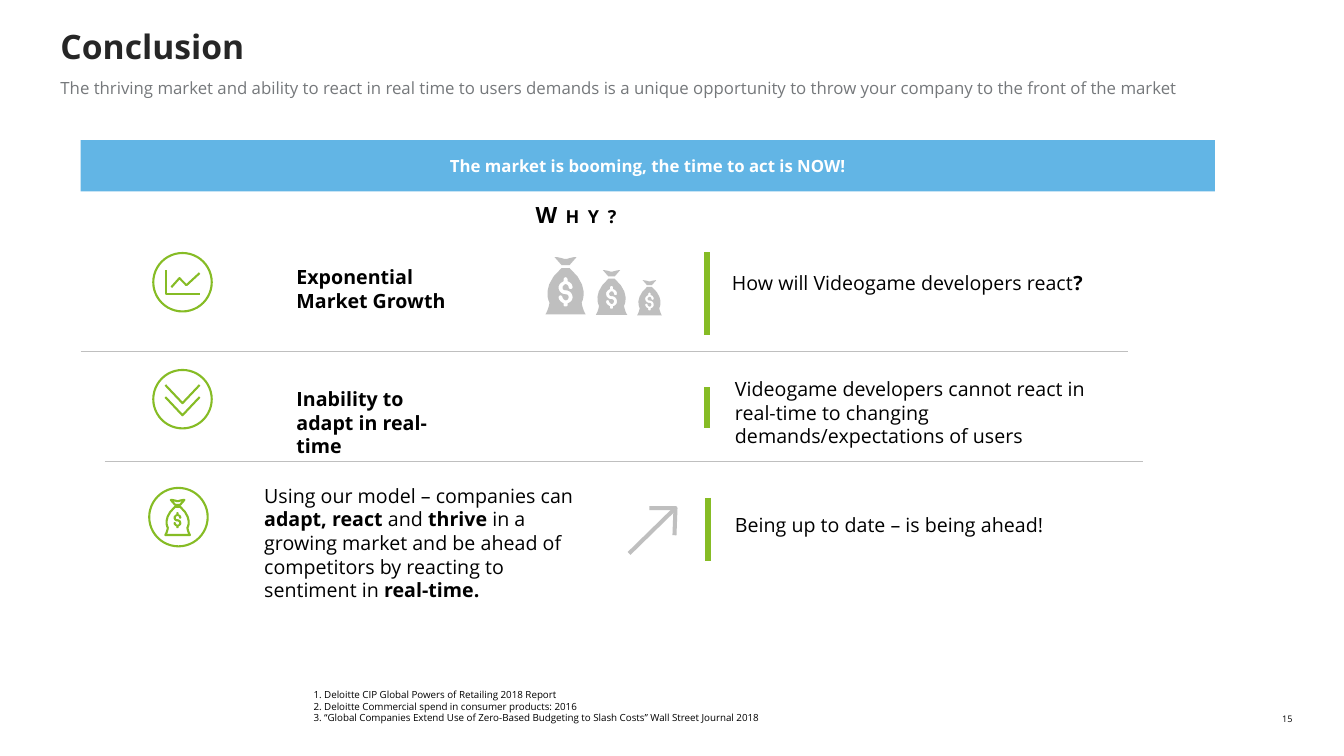
from pptx import Presentation
from pptx.dml.color import RGBColor
from pptx.enum.shapes import MSO_CONNECTOR, MSO_SHAPE
from pptx.enum.text import MSO_ANCHOR, MSO_AUTO_SIZE, PP_ALIGN
from pptx.oxml.ns import qn
from pptx.util import Pt
from lxml import etree

PX = 9144
FONT = "Open Sans"
BLACK = RGBColor(0, 0, 0)
WHITE = RGBColor(255, 255, 255)
DARK = RGBColor(0x26, 0x26, 0x26)
SLATE = RGBColor(0x75, 0x78, 0x7B)
BLUE = RGBColor(0x62, 0xB5, 0xE5)
GREEN = RGBColor(0x86, 0xBC, 0x25)
GREY = RGBColor(0xBF, 0xBF, 0xBF)
LEFT, CENTER, RIGHT = PP_ALIGN.LEFT, PP_ALIGN.CENTER, PP_ALIGN.RIGHT
TOP, MIDDLE = MSO_ANCHOR.TOP, MSO_ANCHOR.MIDDLE
NONE = MSO_AUTO_SIZE.NONE
RECT, OVAL = MSO_SHAPE.RECTANGLE, MSO_SHAPE.OVAL
STRAIGHT = MSO_CONNECTOR.STRAIGHT

KNOT = [(24, 8), (31, 0), (30, 0, 27, 0, 21, 2), (19, 2),
        (13, 0, 10, 0, 9, 0), (16, 8)]
SACK = [(36, 45), (37, 44, 44, 28, 24, 11), (16, 11), (-4, 28, 3, 44, 4, 45),
        (4, 48, 2, 54, 0, 57), (40, 57), (38, 54, 36, 48, 36, 45)]
DOLLAR = [(20, 33), (24, 33, 27, 36, 27, 40), (27, 43, 25, 45, 22, 46),
          (22, 48), (22, 49, 21, 49, 20, 49), (19, 49, 18, 49, 18, 48),
          (18, 46), (16, 45, 13, 43, 13, 40), (13, 39, 14, 38, 15, 38),
          (16, 38, 17, 39, 17, 40), (17, 41, 19, 43, 20, 43),
          (22, 43, 23, 41, 23, 40), (23, 38, 22, 37, 20, 37),
          (16, 37, 13, 34, 13, 30), (13, 27, 16, 25, 18, 24), (18, 22),
          (18, 21, 19, 20, 20, 20), (21, 20, 22, 21, 22, 22), (22, 24),
          (25, 25, 27, 27, 27, 30), (27, 31, 26, 32, 25, 32),
          (24, 32, 23, 31, 23, 30), (23, 29, 22, 27, 20, 27),
          (19, 27, 17, 29, 17, 30), (17, 32, 18, 33, 20, 33)]


def emu(*nums):
    return [round(n * PX) for n in nums]


def write(frame, paras, size, color=BLACK, align=LEFT, anchor=TOP):
    frame.word_wrap = True
    frame.auto_size = NONE
    frame.vertical_anchor = anchor
    frame.margin_left = frame.margin_right = 0
    frame.margin_top = frame.margin_bottom = 0
    for i, runs in enumerate(paras):
        para = frame.add_paragraph() if i else frame.paragraphs[0]
        para.alignment = align
        for words, bold in runs:
            run = para.add_run()
            run.text = words
            font = run.font
            font.name, font.size, font.bold = FONT, Pt(size), bold
            font.color.rgb = color


def label(slide, box, paras, size, color=BLACK, align=LEFT):
    shape = slide.shapes.add_textbox(*emu(*box))
    write(shape.text_frame, paras, size, color, align)
    return shape


def rule(slide, start, end, color, width):
    line = slide.shapes.add_connector(STRAIGHT, *emu(*start, *end))
    line.line.color.rgb = color
    line.line.width = Pt(width)
    etree.SubElement(line._element.spPr, qn("a:effectLst"))


def trace(steps):
    points = [steps[0]]
    for step in steps[1:]:
        if len(step) == 2:
            points.append(step)
            continue
        start = points[-1]
        for i in range(1, 7):
            t = i / 6
            u = 1 - t
            points.append(tuple(
                u**3 * start[k] + 3 * u * u * t * step[k]
                + 3 * u * t * t * step[k + 2] + t**3 * step[k + 4]
                for k in (0, 1)))
    return points


def draw(slide, at, loops, color, scale=1, width=0, close=False):
    paths = [[emu(at[0] + x * scale, at[1] + y * scale)
              for x, y in trace(loop)] for loop in loops]
    pen = slide.shapes.build_freeform(*paths[0][0])
    for i, points in enumerate(paths):
        if i:
            pen.move_to(*points[0])
        pen.add_line_segments(points[1:], close=close)
    shape = pen.convert_to_shape()
    shape.shadow.inherit = False
    if width:
        shape.fill.background()
        shape.line.color.rgb = color
        shape.line.width = Pt(width)
    else:
        shape.fill.solid()
        shape.fill.fore_color.rgb = color
        shape.line.fill.background()


def ring(slide, x, y):
    shape = slide.shapes.add_shape(OVAL, *emu(x + 1, y + 1, 58, 58))
    shape.shadow.inherit = False
    shape.fill.background()
    shape.line.color.rgb = GREEN
    shape.line.width = Pt(1.5)


def graph(slide, x, y):
    axes = [(14, 18), (14, 42), (47, 42)]
    trend = [(19, 35), (27, 26), (34, 33), (47, 21)]
    draw(slide, (x, y), [axes, trend], GREEN, width=1.5)


def drop(slide, x, y):
    marks = [[(13, top), (30, top + 18), (47, top)] for top in (16, 28)]
    draw(slide, (x, y), marks, GREEN, width=1.5)


def purse(slide, x, y):
    draw(slide, (x + 17, y + 13), [KNOT, SACK], GREEN, 0.61, 1.5, True)
    draw(slide, (x + 18, y + 14), [DOLLAR], GREEN, 0.55, close=True)


def bags(slide, x, y):
    for dx, dy, scale in ((0, 0, 1), (50, 13, 0.78), (91, 23, 0.61)):
        draw(slide, (x + dx, y + dy), [KNOT, SACK, DOLLAR], GREY, scale,
             close=True)


def arrow(slide, x, y):
    draw(slide, (x, y), [[(0, 45), (46, 0)], [(20, 0), (46, 0), (45, 27)]],
         GREY, width=2.9)


def row(slide, at, icon, claim, reply, bar):
    x, y = at
    ring(slide, x, y)
    icon(slide, x, y)
    for (dx, dy, w, h), runs in (claim, reply):
        label(slide, (x + dx, y + dy, w, h), [runs], 14)
    dx, top, low = bar
    rule(slide, (x + dx, y + top), (x + dx, y + low), GREEN, 4.5)


def header(slide, box):
    x, y, w, h = box
    title = slide.shapes.title
    title.left, title.top, title.width, title.height = emu(x, y, w, 40)
    write(title.text_frame, [[("Conclusion", True)]], 24, DARK)
    label(slide, (x, y + 51, w, h - 51), [[(
        "The thriving market and ability to react in real time to users "
        "demands is a unique opportunity to throw your company to the front "
        "of the market", False)]], 12, SLATE)


def banner(slide, box):
    x, y, w, h = box
    shape = slide.shapes.add_shape(RECT, *emu(*box))
    shape.shadow.inherit = False
    shape.fill.solid()
    shape.fill.fore_color.rgb = BLUE
    shape.line.fill.background()
    write(shape.text_frame,
          [[("The market is booming, the time to act is NOW!", True)]],
          12, WHITE, CENTER, MIDDLE)
    why = label(slide, (x + 223, y + h + 10, 570, 27), [[("Why?", True)]],
                16, align=CENTER)
    props = why.text_frame.paragraphs[0].runs[0].font._element
    props.set("cap", "small")
    props.set("spc", "600")


def footer(slide, box):
    x, y, w, h = box
    notes = ("1. Deloitte CIP Global Powers of Retailing 2018 Report",
             "2. Deloitte Commercial spend in consumer products: 2016",
             "3. “Global Companies Extend Use of Zero-Based Budgeting to "
             "Slash Costs” Wall Street Journal 2018")
    label(slide, (x, y, 524, h), [[(note, False)] for note in notes], 7)
    label(slide, (x + w - 34, y + 25, 34, 11), [[("15", False)]], 6.5,
          align=RIGHT)


def main():
    deck = Presentation()
    deck.slide_width, deck.slide_height = emu(1333, 750)
    slide = deck.slides.add_slide(deck.slide_layouts[5])
    header(slide, (60, 26, 1246, 99))
    banner(slide, (80, 139, 1125, 51))
    row(slide, (151, 250), graph,
        ((143, 13, 156, 47), [("Exponential Market Growth", True)]),
        ((575, 19, 408, 24), [("How will Videogame developers react", False),
                              ("?", True)]), (550, 0, 82))
    bags(slide, 541, 255)
    rule(slide, (80, 349), (1119, 349), GREY, 0.75)
    row(slide, (151, 366), drop,
        ((143, 18, 168, 47), [("Inability to adapt in real- time", True)]),
        ((578, 8, 390, 71), [(
            "Videogame developers cannot react in real-time to changing "
            "demands/expectations of users", False)]), (550, 18, 59))
    rule(slide, (104, 458), (1134, 458), GREY, 0.75)
    row(slide, (147, 483), purse,
        ((115, -3, 322, 118), [
            ("Using our model – companies can ", False),
            ("adapt, react ", True), ("and ", False), ("thrive ", True),
            ("in a growing market and be ahead of competitors by reacting "
             "to sentiment in ", False), ("real-time.", True)]),
        ((582, 26, 407, 24), [("Being up to date – is being ahead!", False)]),
        (555, 11, 74))
    arrow(slide, 624, 504)
    footer(slide, (311, 683, 971, 35))
    deck.save("out.pptx")


if __name__ == "__main__":
    main()
